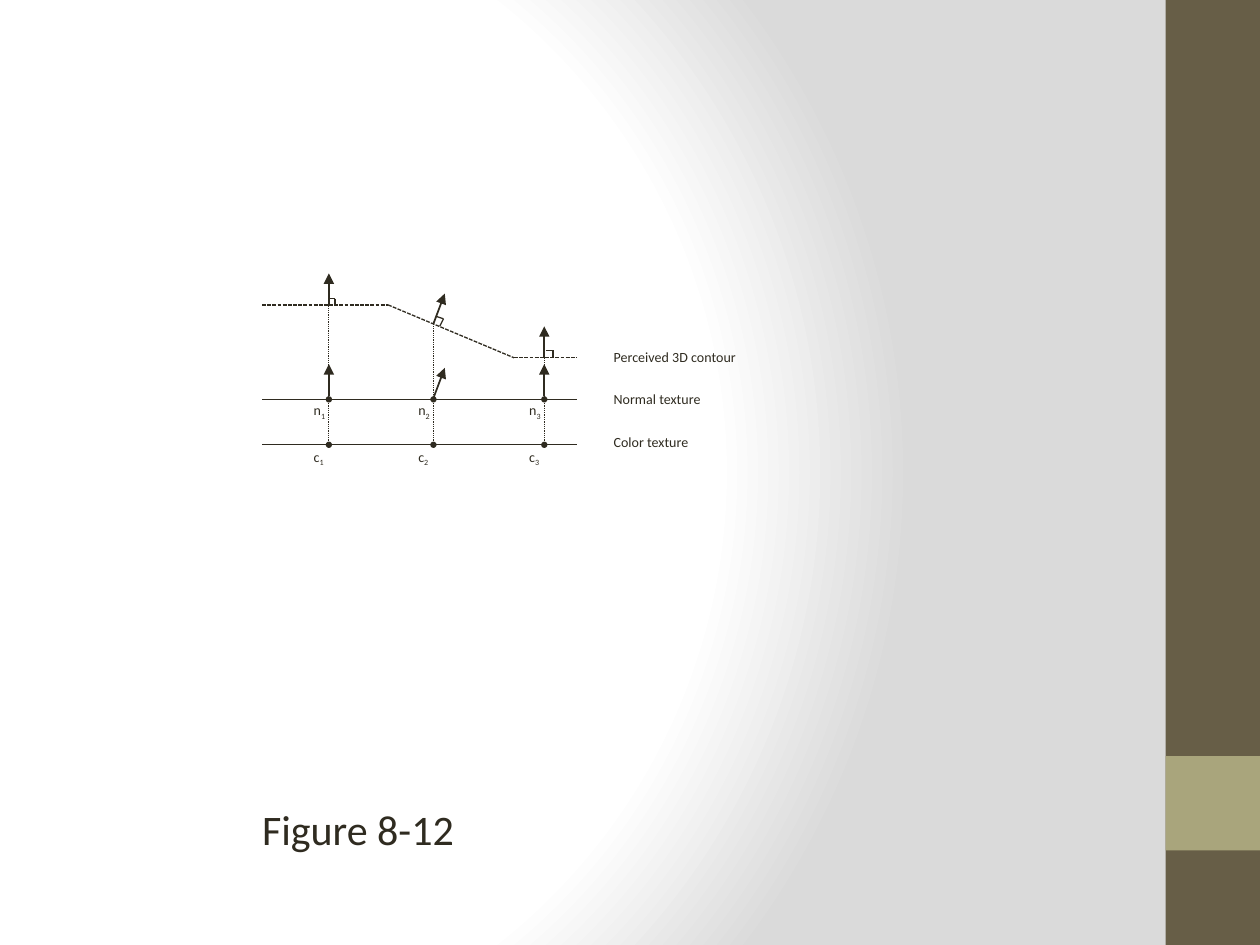
"""Build the figure slide that relates a perceived contour to normal and color textures."""
from dataclasses import dataclass
from typing import Any, Optional

from lxml.etree import SubElement
from pptx import Presentation
from pptx.dml.color import RGBColor
from pptx.enum.dml import MSO_LINE_DASH_STYLE as Dash
from pptx.enum.shapes import MSO_CONNECTOR as Connector, MSO_SHAPE as Shape
from pptx.enum.text import MSO_AUTO_SIZE as AutoSize
from pptx.oxml import parse_xml
from pptx.oxml.ns import nsdecls, qn
from pptx.util import Inches, Pt

COLORS = {
    "ink": "2F2B20",
    "band": "675E47",
    "accent": "A9A57C",
    "paper": "FFFFFF",
    "shade": "DADADA",
}
FONT = "Calibri"
FRAME_FORMAT = {
    "margin_left": Inches(0),
    "margin_right": Inches(0),
    "margin_top": Inches(0.05),
    "margin_bottom": Inches(0.05),
    "auto_size": AutoSize.SHAPE_TO_FIT_TEXT,
}
LEFT, RIGHT = 2.08, 4.58
LABEL_LEFT = 4.87
DOT = 0.05
Point = tuple[float, float]


@dataclass(frozen=True)
class Sample:
    x: float
    contour_y: float
    lean: float
    rise: float
    normal_foot: float
    corner: tuple[Point, Point, Point]

    def tip(self, foot: float) -> Point:
        return self.x + self.lean, foot - self.rise


@dataclass(frozen=True)
class Texture:
    letter: str
    y: float
    label_top: float


@dataclass(frozen=True)
class Label:
    text: str
    top: float
    width: float


SAMPLES = [
    Sample(2.61, 2.42, 0, 0.25, 3.14, ((2.61, 2.37), (2.66, 2.37), (2.66, 2.42))),
    Sample(3.44, 2.57, 0.09, 0.24, 3.16, ((3.46, 2.51), (3.52, 2.53), (3.49, 2.59))),
    Sample(4.32, 2.84, 0, 0.25, 3.14, ((4.33, 2.78), (4.39, 2.78), (4.39, 2.84))),
]
NORMAL = Texture("n", 3.17, 3.14)
COLOR = Texture("c", 3.53, 3.51)
LABELS = [
    Label("Perceived 3D contour", 2.72, 0.98),
    Label("Normal texture", 3.05, 0.71),
    Label("Color texture", 3.39, 0.63),
]
CONTOUR = [(LEFT, 2.42), (3.08, 2.42), (4.08, 2.84), (RIGHT, 2.84)]


def color(name: str) -> RGBColor:
    return RGBColor.from_string(COLORS[name])


def add_background(slide: Any) -> None:
    slide.background.fill.gradient()
    gradient = slide.element.find(".//" + qn("a:gradFill"))
    stops = "".join(
        f'<a:gs pos="{position * 1000}"><a:srgbClr val="{COLORS[name]}"/></a:gs>'
        for position, name in ((0, "paper"), (75, "paper"), (100, "shade"))
    )
    gradient.getparent().replace(gradient, parse_xml(
        f'<a:gradFill rotWithShape="1" {nsdecls("a")}><a:gsLst>{stops}</a:gsLst>'
        '<a:path path="circle">'
        '<a:fillToRect l="20000" t="50000" r="100000" b="50000"/></a:path></a:gradFill>'
    ))


def add_filled(shapes: Any, kind: Shape, left: float, top: float,
               width: float, height: float, fill: str) -> None:
    shape = shapes.add_shape(kind, Inches(left), Inches(top), Inches(width), Inches(height))
    shape.shadow.inherit = False
    shape.fill.solid()
    shape.fill.fore_color.rgb = color(fill)
    shape.line.fill.background()


def add_line(shapes: Any, start: Point, end: Point, weight: float = 0.75,
             dash: Optional[Dash] = None, arrow: bool = False) -> None:
    connector = shapes.add_connector(
        Connector.STRAIGHT, *(Inches(value) for value in (*start, *end)))
    connector.line.color.rgb = color("ink")
    connector.line.width = Pt(weight)
    if dash is not None:
        connector.line.dash_style = dash
    properties = connector.element.spPr
    if arrow:
        SubElement(properties.find(qn("a:ln")), qn("a:headEnd"), type="triangle")
    SubElement(properties, qn("a:effectLst"))


def add_path(shapes: Any, points: Any, dash: Optional[Dash] = None) -> None:
    for start, end in zip(points, points[1:]):
        add_line(shapes, start, end, dash=dash)


def add_text(shapes: Any, text: str, left: float, top: float, width: float,
             height: float = 0.24, size: float = 8, subscript: str = "",
             wrap: bool = False) -> None:
    box = shapes.add_textbox(Inches(left), Inches(top), Inches(width), Inches(height))
    frame = box.text_frame
    for name, value in {**FRAME_FORMAT, "word_wrap": wrap}.items():
        setattr(frame, name, value)
    for content, baseline in ((text, 0), (subscript, -25000)):
        if content:
            run = frame.paragraphs[0].add_run()
            run.text = content
            for name, value in {"name": FONT, "size": Pt(size)}.items():
                setattr(run.font, name, value)
            run.font.color.rgb = color("ink")
            if baseline:
                run.font._element.set("baseline", str(baseline))


def add_texture(shapes: Any, texture: Texture) -> None:
    add_line(shapes, (LEFT, texture.y), (RIGHT, texture.y))
    for number, sample in enumerate(SAMPLES, 1):
        add_filled(shapes, Shape.OVAL, sample.x - DOT / 2, texture.y - DOT / 2,
                   DOT, DOT, "ink")
        add_text(shapes, texture.letter, sample.x - 0.12, texture.label_top, 0.1,
                 subscript=str(number))


def add_arrow(shapes: Any, sample: Sample, foot: float) -> None:
    add_line(shapes, sample.tip(foot), (sample.x, foot), 1, arrow=True)


def build() -> None:
    presentation = Presentation()
    presentation.slide_width, presentation.slide_height = Inches(10), Inches(7.5)
    slide = presentation.slides.add_slide(presentation.slide_layouts[6])
    shapes = slide.shapes
    add_background(slide)
    add_filled(shapes, Shape.RECTANGLE, 9.25, 0, 0.75, 7.5, "band")
    add_filled(shapes, Shape.RECTANGLE, 9.25, 6, 0.75, 0.75, "accent")

    for sample in SAMPLES:
        add_line(shapes, (sample.x, COLOR.y), (sample.x, sample.contour_y), 0.5,
                 Dash.ROUND_DOT)

    contour = shapes.add_group_shape().shapes
    add_path(contour, CONTOUR, Dash.SQUARE_DOT)
    for sample in SAMPLES:
        add_arrow(contour, sample, sample.contour_y)

    normals = shapes.add_group_shape().shapes
    add_texture(normals, NORMAL)
    for sample in SAMPLES:
        add_arrow(normals, sample, sample.normal_foot)
    add_texture(shapes.add_group_shape().shapes, COLOR)

    for label in LABELS:
        add_text(shapes, label.text, LABEL_LEFT, label.top, label.width)
    for sample in SAMPLES:
        add_path(shapes.add_group_shape().shapes, sample.corner)
    add_text(shapes, "Figure 8-12", LEFT, 6.33, 3.93, 0.5, 24, wrap=True)
    presentation.save("out.pptx")


build()
